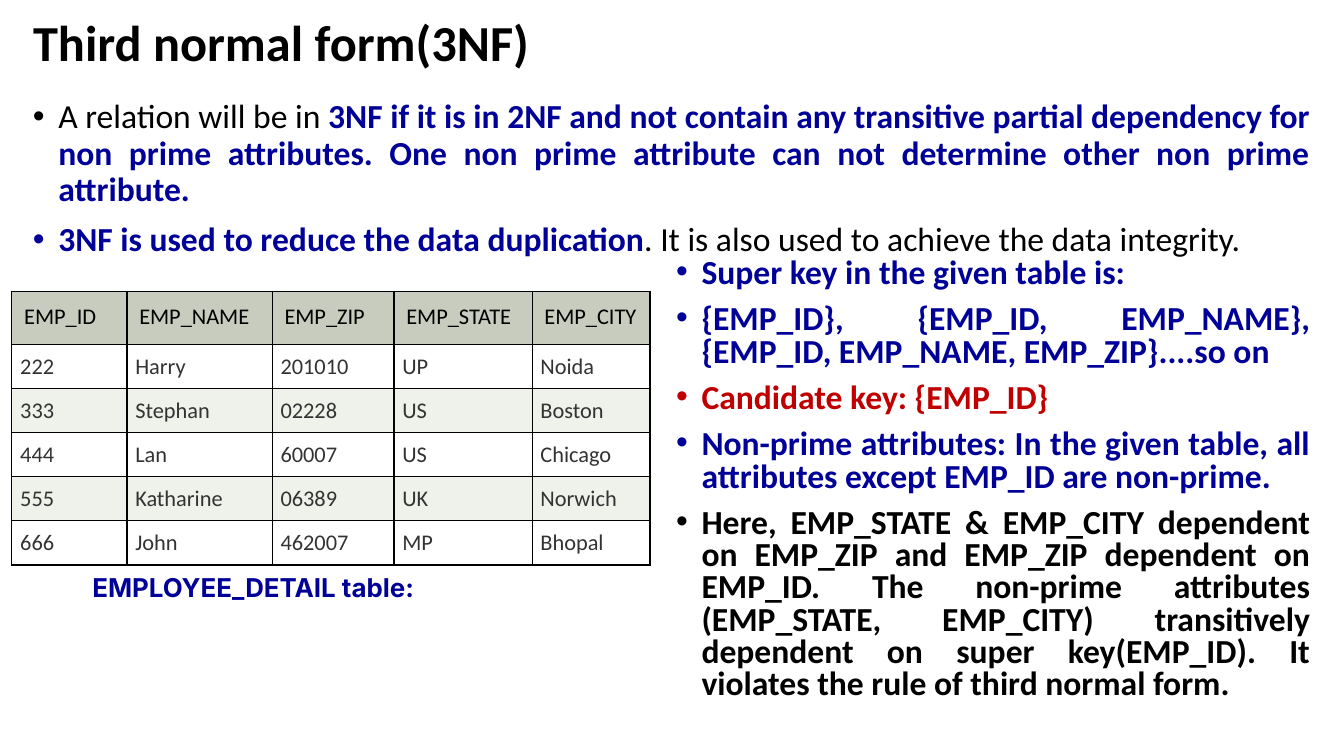
from lxml import etree
from pptx import Presentation
from pptx.dml.color import RGBColor
from pptx.enum.text import MSO_ANCHOR, MSO_AUTO_SIZE, PP_ALIGN
from pptx.oxml import parse_xml
from pptx.oxml.ns import nsdecls, qn
from pptx.util import Cm, Pt

LEFT, JUSTIFY = PP_ALIGN.LEFT, PP_ALIGN.JUSTIFY
MIDDLE, TOP = MSO_ANCHOR.MIDDLE, MSO_ANCHOR.TOP
NO_AUTOFIT = MSO_AUTO_SIZE.NONE
TITLE_ONLY = 5
COLORS = {
    "black": "000000", "blue": "000099", "red": "C00000", "grey": "333333",
    "header": "C7CCBE", "band": "EFF1EB", "white": "FFFFFF",
}


def write_paragraph(paragraph, runs, size, line_spacing=None, space_before=0,
                    align=JUSTIFY, bullet=False, font_name="Calibri"):
    """Fill a paragraph with runs given as (text, colour name, bold)."""
    if bullet:
        properties = paragraph._p.get_or_add_pPr()
        properties.set("marL", str(Cm(0.64)))
        properties.set("indent", str(-Cm(0.64)))
        etree.SubElement(properties, qn("a:buFont"), typeface="Arial")
        etree.SubElement(properties, qn("a:buChar"), char="•")
    layout = {"alignment": align, "line_spacing": line_spacing, "space_before": Pt(space_before)}
    for name, value in layout.items():
        setattr(paragraph, name, value)
    for text, color, bold in runs:
        run = paragraph.add_run()
        run.text = text
        for name, value in {"name": font_name, "size": Pt(size), "bold": bold}.items():
            setattr(run.font, name, value)
        run.font.color.rgb = RGBColor.from_string(COLORS[color])


def place_text(shape, position, paragraphs, anchor=TOP, **formats):
    """Position a text shape and write one paragraph for each list of runs."""
    for name, value in zip(("left", "top", "width", "height"), position):
        setattr(shape, name, Cm(value))
    frame = shape.text_frame
    frame.word_wrap = True
    frame.auto_size = NO_AUTOFIT
    frame.vertical_anchor = anchor
    for index, runs in enumerate(paragraphs):
        paragraph = frame.add_paragraph() if index else frame.paragraphs[0]
        write_paragraph(paragraph, runs, space_before=10 if index else 0, **formats)


presentation = Presentation()
presentation.slide_width, presentation.slide_height = Cm(33.87), Cm(19.05)
slide = presentation.slides.add_slide(presentation.slide_layouts[TITLE_ONLY])

# Title
place_text(slide.shapes.title, (0.58, 0.43, 29.21, 1.42),
           [[("Third normal form(3NF)", "black", True)]],
           anchor=MIDDLE, size=36, line_spacing=0.9, align=LEFT)

# Definition, key analysis and table caption
definition = [
    [("A relation will be in ", "black", False),
     ("3NF if it is in 2NF and not contain any transitive partial dependency for "
      "non prime attributes. One non prime attribute can not determine other "
      "non prime attribute.", "blue", True)],
    [("3NF is used to reduce the data duplication", "blue", True),
     (". It is also used to achieve the data integrity.", "black", False)],
]
key_analysis = [
    [("Super key in the given table is:", "blue", True)],
    [("{EMP_ID}, {EMP_ID, EMP_NAME}, {EMP_ID, EMP_NAME, EMP_ZIP}....so on", "blue", True)],
    [("Candidate key: {EMP_ID}", "red", True)],
    [("Non-prime attributes: In the given table, all attributes except EMP_ID "
      "are non-prime.", "blue", True)],
    [("Here, EMP_STATE & EMP_CITY dependent on EMP_ZIP and EMP_ZIP dependent on "
      "EMP_ID. The non-prime attributes (EMP_STATE, EMP_CITY) transitively "
      "dependent on super key(EMP_ID). It violates the rule of third normal form.",
      "black", True)],
]
caption = [[("EMPLOYEE_DETAIL table:", "blue", True)]]
text_boxes = [
    ((0.58, 2.39, 32.69, 9.14), definition,
     {"size": 24, "line_spacing": 0.9, "bullet": True}),
    ((16.79, 6.4, 16.48, 11.94), key_analysis,
     {"size": 24, "line_spacing": 0.8, "bullet": True}),
    ((2.08, 14.38, 8.97, 1.09), caption,
     {"size": 18.5, "line_spacing": 0.9, "font_name": "Inter"}),
]
for position, paragraphs, formats in text_boxes:
    text_box = slide.shapes.add_textbox(0, 0, 0, 0)
    place_text(text_box, position, paragraphs, **formats)

# Employee table
employees = [
    ("EMP_ID", "EMP_NAME", "EMP_ZIP", "EMP_STATE", "EMP_CITY"),
    ("222", "Harry", "201010", "UP", "Noida"),
    ("333", "Stephan", "02228", "US", "Boston"),
    ("444", "Lan", "60007", "US", "Chicago"),
    ("555", "Katharine", "06389", "UK", "Norwich"),
    ("666", "John", "462007", "MP", "Bhopal"),
]
column_widths = [2.9, 3.66, 3.07, 3.48, 2.97]
header_height, row_height = 1.34, 1.11
table = slide.shapes.add_table(
    len(employees), len(column_widths), Cm(0.3), Cm(7.34),
    Cm(sum(column_widths)), Cm(header_height + 5 * row_height)).table
for column, width in zip(table.columns, column_widths):
    column.width = Cm(width)

for row_index, values in enumerate(employees):
    is_header = row_index == 0
    table.rows[row_index].height = Cm(header_height if is_header else row_height)
    fill = "header" if is_header else ("white" if row_index % 2 else "band")
    for column_index, value in enumerate(values):
        cell = table.cell(row_index, column_index)
        for side in ("left", "right", "top", "bottom"):
            setattr(cell, f"margin_{side}", Cm(0.31 if is_header else 0.21))
        cell_properties = cell._tc.get_or_add_tcPr()
        for edge in ("lnL", "lnR", "lnT", "lnB"):
            cell_properties.append(parse_xml(
                f'<a:{edge} {nsdecls("a")} w="{Pt(1)}"><a:solidFill>'
                f'<a:srgbClr val="{COLORS["black"]}"/></a:solidFill></a:{edge}>'))
        cell.fill.solid()
        cell.fill.fore_color.rgb = RGBColor.from_string(COLORS[fill])
        write_paragraph(cell.text_frame.paragraphs[0],
                        [(value, "black" if is_header else "grey", False)],
                        size=16, align=LEFT if is_header else JUSTIFY)

presentation.save("out.pptx")
